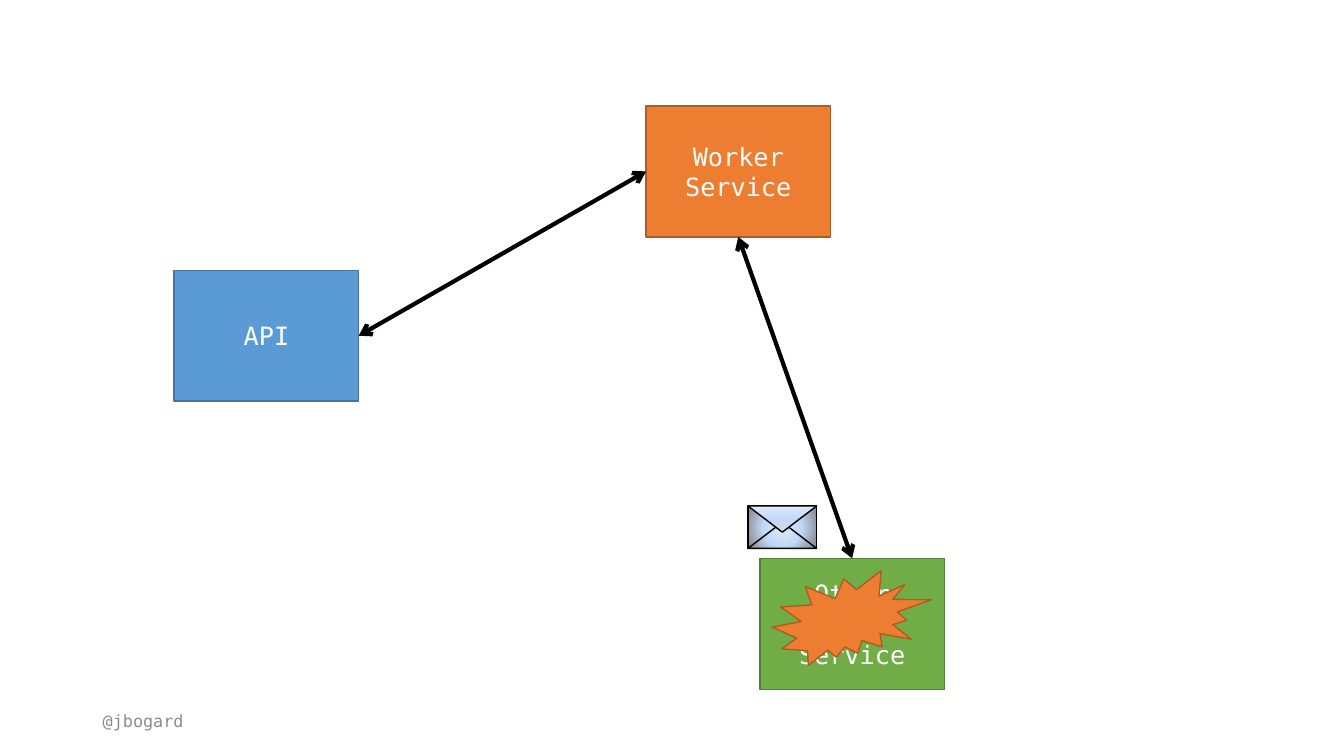
from pptx import Presentation
from pptx.dml.color import RGBColor
from pptx.enum.shapes import MSO_CONNECTOR, MSO_SHAPE
from pptx.enum.text import MSO_ANCHOR, PP_ALIGN
from pptx.oxml import parse_xml
from pptx.oxml.ns import nsdecls, qn
from pptx.util import Cm, Pt
from lxml import etree


def color(value):
    return RGBColor.from_string(value)


def add_outlined(shapes, kind, left, top, width, height, line, fill=None):
    shape = shapes.add_shape(kind, Cm(left), Cm(top), Cm(width), Cm(height))
    shape.shadow.inherit = False
    if fill:
        shape.fill.solid()
        shape.fill.fore_color.rgb = color(fill)
    else:
        shape.fill.background()
    shape.line.color.rgb = color(line)
    shape.line.width = Pt(1)
    return shape


FONT = "DejaVu Sans Mono"

presentation = Presentation()
presentation.slide_width, presentation.slide_height = Cm(33.87), Cm(19.05)
slide = presentation.slides.add_slide(presentation.slide_layouts[6])

# Footer handle
footer = slide.shapes.add_textbox(Cm(2.34), Cm(17.65), Cm(7.62), Cm(1.02))
footer.text_frame.word_wrap = True
footer.text_frame.vertical_anchor = MSO_ANCHOR.MIDDLE
run = footer.text_frame.paragraphs[0].add_run()
run.text = "@jbogard"
run.font.name, run.font.size = FONT, Pt(12)
run.font.color.rgb = color("8C8C8C")

# Service boxes
services = {}
for name, left, top, fill, line in [
    ("API", 4.39, 6.81, "5B9BD5", "43739E"),
    ("Worker Service", 16.28, 2.67, "ED7D31", "AF5C24"),
    ("Other Worker Service", 19.15, 14.07, "70AD47", "538035"),
]:
    box = add_outlined(slide.shapes, MSO_SHAPE.RECTANGLE, left, top, 4.65, 3.3, line, fill)
    box.text_frame.word_wrap = True
    box.text_frame.vertical_anchor = MSO_ANCHOR.MIDDLE
    paragraph = box.text_frame.paragraphs[0]
    paragraph.alignment = PP_ALIGN.CENTER
    run = paragraph.add_run()
    run.text = name
    run.font.name, run.font.size = FONT, Pt(18)
    run.font.color.rgb = color("FFFFFF")
    services[name] = box

# Two-way arrows; rectangle sites are 0 top, 1 left, 2 bottom, 3 right
for start, start_site, end, end_site in [
    ("API", 3, "Worker Service", 1),
    ("Worker Service", 2, "Other Worker Service", 0),
]:
    arrow = slide.shapes.add_connector(MSO_CONNECTOR.STRAIGHT, 0, 0, 0, 0)
    arrow.begin_connect(services[start], start_site)
    arrow.end_connect(services[end], end_site)
    arrow.line.color.rgb = color("000000")
    arrow.line.width = Pt(3)
    for end_tag in ("a:headEnd", "a:tailEnd"):
        etree.SubElement(arrow.line._get_or_add_ln(), qn(end_tag), type="arrow")
    etree.SubElement(arrow._element.spPr, qn("a:effectLst"))

# Envelope: body, lower fold and flap
envelope = slide.shapes.add_group_shape()
body = add_outlined(envelope.shapes, MSO_SHAPE.RECTANGLE, 18.85, 12.75, 1.73, 1.07, "000000")
add_outlined(envelope.shapes, MSO_SHAPE.ISOSCELES_TRIANGLE, 18.85, 13.16, 1.73, 0.66, "000000")
flap = add_outlined(envelope.shapes, MSO_SHAPE.ISOSCELES_TRIANGLE, 18.85, 12.75, 1.73, 0.66, "000000")
flap.rotation = 180

# Envelope gradients
radial = '<a:path path="circle"><a:fillToRect l="50000" t="50000" r="50000" b="50000"/></a:path>'
upward = '<a:lin ang="16200000" scaled="0"/>'
for shape, last_color, direction in [(body, "808080", radial), (flap, "D9D9D9", upward)]:
    stops = "".join(
        f'<a:gs pos="{percent * 1000}"><a:srgbClr val="{value}"/></a:gs>'
        for percent, value in [(0, "E1EBFB"), (48, "C2D8F8"), (100, last_color)]
    )
    gradient = parse_xml(
        f'<a:gradFill {nsdecls("a")} rotWithShape="1"><a:gsLst>{stops}</a:gsLst>{direction}</a:gradFill>'
    )
    properties = shape._element.spPr
    properties.replace(properties.find(qn("a:noFill")), gradient)

# Failure burst over the last service
add_outlined(slide.shapes, MSO_SHAPE.EXPLOSION2, 19.46, 14.38, 4.01, 2.39, "AF5C24", "ED7D31")

presentation.save("out.pptx")
